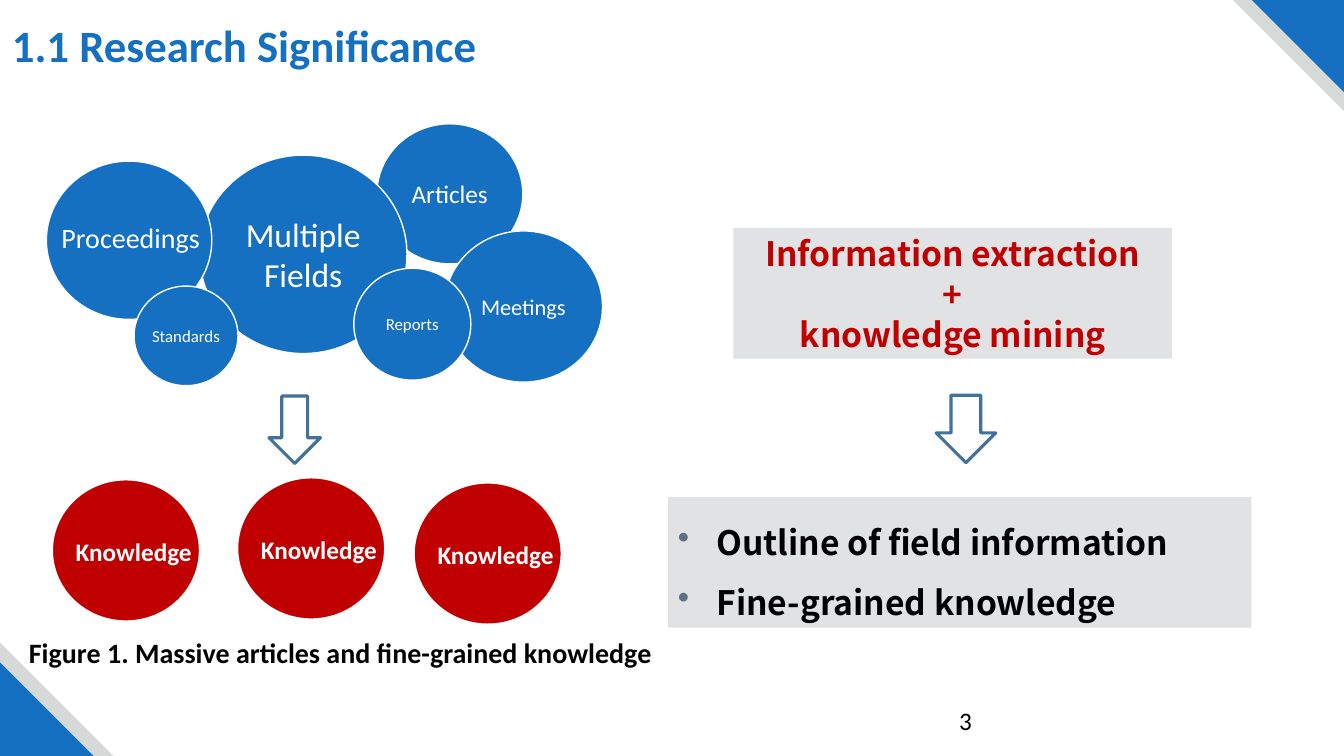
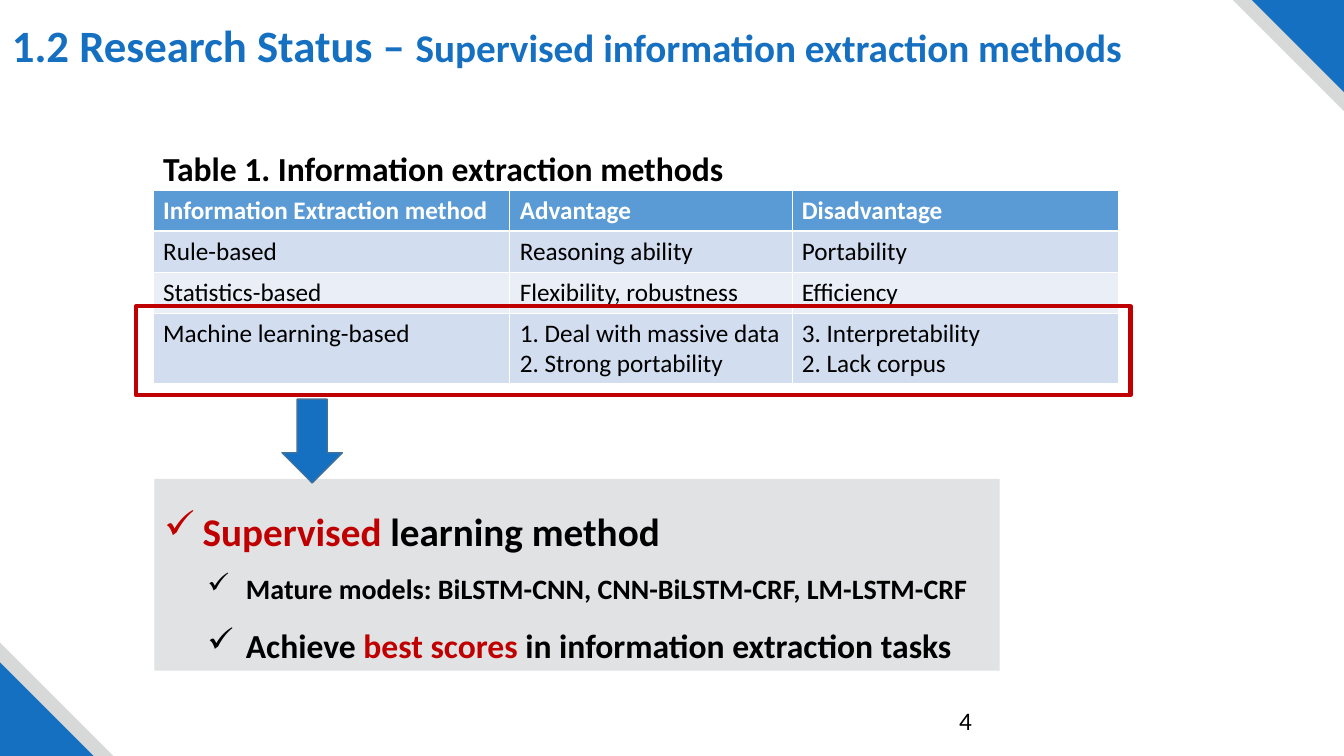
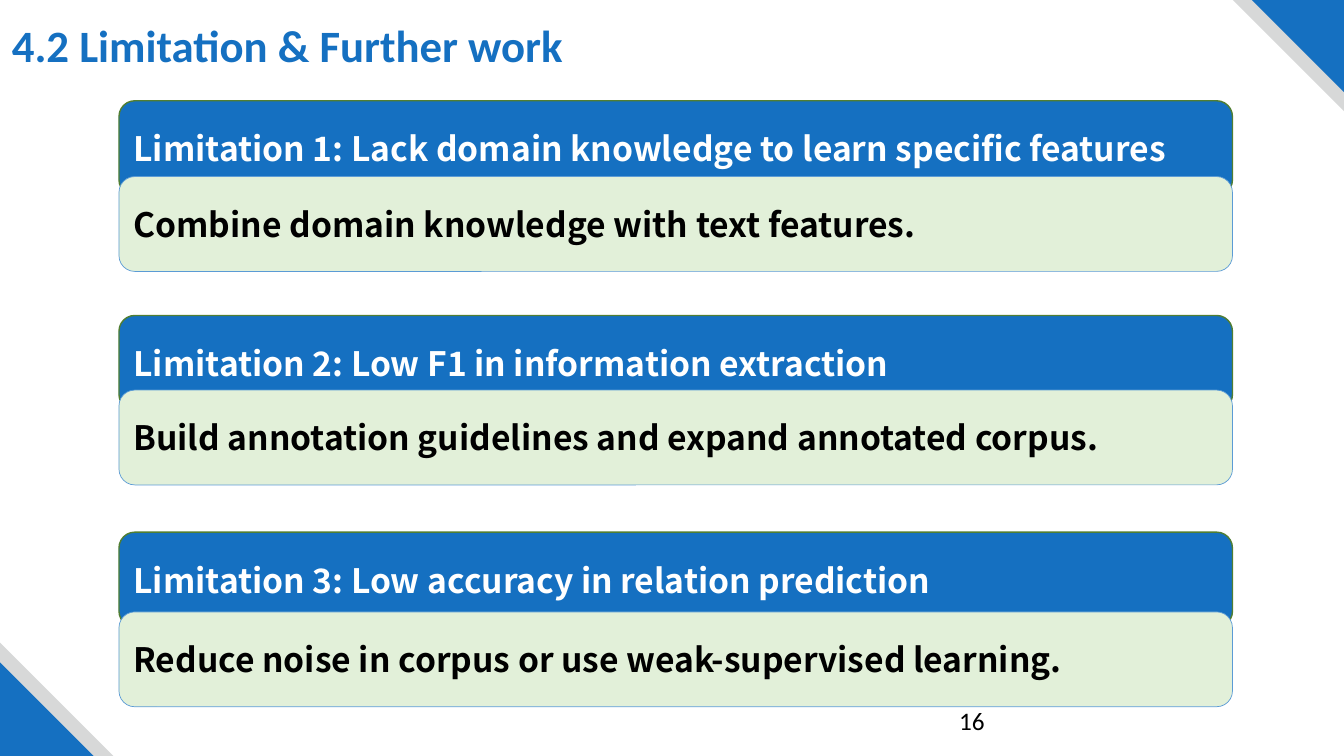
from dataclasses import dataclass

from lxml.etree import SubElement
from pptx import Presentation
from pptx.dml.color import RGBColor
from pptx.enum.shapes import MSO_SHAPE as SHAPE
from pptx.enum.text import MSO_ANCHOR as ANCHOR, PP_ALIGN as ALIGN
from pptx.oxml import parse_xml
from pptx.oxml.ns import nsdecls, qn
from pptx.util import Cm, Pt

BLUE = RGBColor(0x15, 0x70, 0xC1)
RED = RGBColor(0xC0, 0x00, 0x00)
BLACK = RGBColor(0x00, 0x00, 0x00)
WHITE = RGBColor(0xFF, 0xFF, 0xFF)
CORNER_GREY = RGBColor(0xD7, 0xD8, 0xD8)
PANEL_GREY = RGBColor(0xE0, 0xE2, 0xE3)
BULLET_GREY = RGBColor(0x60, 0x70, 0x84)
ARROW_LINE = RGBColor(0x41, 0x71, 0x9C)
HEADER_BLUE = RGBColor(0x5B, 0x9B, 0xD5)
BAND_DARK = RGBColor(0xD2, 0xDE, 0xEF)
BAND_LIGHT = RGBColor(0xEA, 0xEF, 0xF7)
ANSWER_GREEN = RGBColor(0xE2, 0xF0, 0xD9)
LIMIT_LINE = RGBColor(0x50, 0x7E, 0x32)

WIDTH, HEIGHT = 33.88, 19.05
BODY_FONT, STRONG_FONT = "Calibri", "Noto Sans CJK SC"


@dataclass
class Para:
    """A paragraph: one string, or a list of (text, font overrides) runs."""
    content: str | list
    size: float = 18
    color: RGBColor = BLACK
    bold: bool = False
    font: str = BODY_FONT
    align: ALIGN = ALIGN.LEFT
    spacing: float | Pt | None = None
    bullet: str = ""
    bullet_color: RGBColor = BLACK
    indent: float = 0.97
    level: int = 0


class Deck:
    HANGING = 0.97

    def __init__(self):
        self.prs = Presentation()
        self.prs.slide_width, self.prs.slide_height = Cm(WIDTH), Cm(HEIGHT)
        self.slide = None

    def new_slide(self, title, number, title_width=15.04):
        self.slide = self.prs.slides.add_slide(self.prs.slide_layouts[6])
        # Corner bands
        for color, top_side, bottom_side in ((CORNER_GREY, 2.8, 2.86), (BLUE, 2.32, 2.36)):
            corner = self.shape(SHAPE.RIGHT_TRIANGLE,
                                (WIDTH - top_side, 0, top_side, top_side), color)
            corner.rotation = 180
            self.shape(SHAPE.RIGHT_TRIANGLE,
                       (0, HEIGHT - bottom_side, bottom_side, bottom_side), color)
        # Title and page number
        self.text((0.05, 0.33, title_width, 1.63), [Para(title, 32, BLUE, True)])
        self.text((23.93, 17.65, 7.62, 1.02), [Para(str(number))])

    def shape(self, kind, box, fill=None, line=None, weight=1, paras=(),
              anchor=ANCHOR.MIDDLE, side_inset=0.25):
        shape = self.slide.shapes.add_shape(kind, *map(Cm, box))
        shape.shadow.inherit = False
        if fill is None:
            shape.fill.background()
        else:
            shape.fill.solid()
            shape.fill.fore_color.rgb = fill
        if line is None:
            shape.line.fill.background()
        else:
            shape.line.color.rgb = line
            shape.line.width = Pt(weight)
        if paras:
            frame = shape.text_frame
            frame.vertical_anchor = anchor
            frame.margin_left = frame.margin_right = Cm(side_inset)
            self.fill_text(frame, paras)
        return shape

    def text(self, box, paras, wrap=True):
        frame = self.slide.shapes.add_textbox(*map(Cm, box)).text_frame
        frame.word_wrap = wrap
        self.fill_text(frame, paras)

    def fill_text(self, frame, paras):
        for index, para in enumerate(paras):
            paragraph = frame.add_paragraph() if index else frame.paragraphs[0]
            paragraph.level = para.level
            paragraph.alignment = para.align
            if para.bullet:
                self.add_bullet(paragraph, para)
            if para.spacing:
                paragraph.line_spacing = para.spacing
            self.style(paragraph.font, para.size, para.color, para.bold, para.font)
            runs = [(para.content, {})] if isinstance(para.content, str) else para.content
            for words, changes in runs:
                run = paragraph.add_run()
                run.text = words
                self.style(run.font, **changes)

    @staticmethod
    def style(font, size=None, color=None, bold=None, name=None):
        if size:
            font.size = Pt(size)
        if color is not None:
            font.color.rgb = color
        if bold is not None:
            font.bold = bold
        if name:
            font.name = name

    def add_bullet(self, paragraph, para):
        props = paragraph._p.get_or_add_pPr()
        props.set("marL", str(Cm(para.indent)))
        props.set("indent", str(-Cm(self.HANGING)))
        color = SubElement(props, qn("a:buClr"))
        SubElement(color, qn("a:srgbClr"), val=str(para.bullet_color))
        SubElement(props, qn("a:buChar"), char=para.bullet)

    def table(self, left, top, widths, heights, rows):
        table = self.slide.shapes.add_table(
            len(rows), len(widths), Cm(left), Cm(top),
            Cm(sum(widths)), Cm(sum(heights))).table
        for column, width in zip(table.columns, widths):
            column.width = Cm(width)
        for r, (row, height) in enumerate(zip(rows, heights)):
            table.rows[r].height = Cm(height)
            header = r == 0
            fill = HEADER_BLUE if header else BAND_DARK if r % 2 else BAND_LIGHT
            for c, lines in enumerate(row):
                cell = table.cell(r, c)
                cell.fill.solid()
                cell.fill.fore_color.rgb = fill
                self.fill_text(cell.text_frame,
                               [Para(line, 18, WHITE if header else BLACK, header)
                                for line in lines.split("\n")])
                self.borders(cell, top=1.47 if r == 1 else 0.45,
                             bottom=1.47 if header else 0.45)

    @staticmethod
    def borders(cell, top, bottom):
        props = cell._tc.get_or_add_tcPr()
        sides = (("lnL", 0.45), ("lnR", 0.45), ("lnT", top), ("lnB", bottom))
        for position, (side, weight) in enumerate(sides):
            props.insert(position, parse_xml(
                f'<a:{side} {nsdecls("a")} w="{Pt(weight)}"><a:solidFill>'
                f'<a:srgbClr val="{WHITE}"/></a:solidFill></a:{side}>'))


def research_significance(deck):
    deck.new_slide("1.1 Research Significance", 3)

    # Methods and their results
    deck.shape(SHAPE.RECTANGLE, (18.49, 5.74, 11.05, 3.3), PANEL_GREY, anchor=ANCHOR.TOP,
               paras=[Para(line, 24, RED, True, STRONG_FONT, ALIGN.CENTER, Pt(29))
                      for line in ("Information extraction", "+", "knowledge mining")])
    deck.shape(SHAPE.RECTANGLE, (16.84, 12.52, 14.71, 3.3), PANEL_GREY, anchor=ANCHOR.TOP,
               paras=[Para(line, 24, BLACK, True, STRONG_FONT, spacing=Pt(43),
                           bullet="•", bullet_color=BULLET_GREY)
                      for line in ("Outline of field information", "Fine-grained knowledge")])
    for arrow in ((23.6, 9.96, 1.5, 1.7), (6.78, 9.98, 1.3, 1.7)):
        deck.shape(SHAPE.DOWN_ARROW, arrow, WHITE, ARROW_LINE, 2.25)

    # Knowledge circles
    for left, top in ((1.32, 12.09), (5.99, 12.04), (10.44, 12.17)):
        deck.shape(SHAPE.OVAL, (left, top, 3.71, 3.56), RED, WHITE)
        deck.text((left + 0.34, top + 1.3, 3.45, 1.02),
                  [Para("Knowledge", 18, WHITE, True)], wrap=False)
    deck.text((0.48, 15.88, 16.26, 1.12),
              [Para("Figure 1. Massive articles and fine-grained knowledge", 20, bold=True)],
              wrap=False)

    # Source circles
    sources = (
        ("Articles", 18, (9.5, 3.12, 3.68, 3.53), 0.25),
        ("Multiple Fields", 24, (5.03, 3.91, 5.23, 5), 0.25),
        ("", 20, (1.17, 4.06, 4.17, 3.99), 0.25),
        ("Meetings", 16, (11.2, 5.82, 3.99, 3.81), 0.25),
        ("Reports", 12, (8.92, 6.76, 2.95, 2.82), 0.25),
        ("Standards", 12, (3.38, 7.21, 2.62, 2.51), 0),
    )
    for source, size, box, inset in sources:
        label = [Para(source, size, WHITE, align=ALIGN.CENTER)] if source else ()
        deck.shape(SHAPE.OVAL, box, BLUE, WHITE, paras=label, side_inset=inset)
    deck.text((1.3, 5.44, 4.17, 1.12), [Para("Proceedings", 20, WHITE)])


def research_status(deck):
    deck.new_slide([("1.2 Research Status – ", {}),
                    ("Supervised information extraction methods", {"size": 28})],
                   4, title_width=28.96)

    # Supervised learning panel
    child = dict(bold=True, spacing=1.5, bullet="✓", indent=2.06, level=1)
    deck.shape(SHAPE.RECTANGLE, (3.89, 12.07, 21.31, 4.83), PANEL_GREY, anchor=ANCHOR.TOP, paras=[
        Para([("Supervised", {"color": RED}), (" learning method", {})], 28, bold=True,
             spacing=1.5, bullet="✓", bullet_color=RED),
        Para("Mature models: BiLSTM-CNN, CNN-BiLSTM-CRF, LM-LSTM-CRF", 20, **child),
        Para([("Achieve ", {}), ("best scores ", {"color": RED}),
              ("in information extraction tasks", {})], 24, **child),
    ])

    # Methods table
    deck.table(3.86, 4.8, (8.99, 7.11, 8.23), (1.03, 1.03, 1.03, 1.78), (
        ("Information Extraction method", "Advantage", "Disadvantage"),
        ("Rule-based", "Reasoning ability", "Portability"),
        ("Statistics-based", "Flexibility, robustness", "Efficiency"),
        ("Machine learning-based", "1. Deal with massive data\n2. Strong portability",
         "3. Interpretability\n2. Lack corpus"),
    ))
    deck.text((3.86, 3.61, 14.76, 1.27),
              [Para("Table 1. Information extraction methods", 24, bold=True)], wrap=False)

    # Highlighted row and arrow
    deck.shape(SHAPE.RECTANGLE, (3.43, 7.72, 25.07, 2.24), line=RED, weight=3)
    deck.shape(SHAPE.DOWN_ARROW, (7.11, 10.06, 1.52, 2.11), BLUE, ARROW_LINE)


def further_work(deck):
    deck.new_slide("4.2 Limitation & Further work", 16)

    # Each limitation with its answer
    pairs = (
        (2.54, "Limitation 1: Lack domain knowledge to learn specific features",
         4.45, "Combine domain knowledge with text features."),
        (7.95, "Limitation 2: Low F1 in information extraction",
         9.83, "Build annotation guidelines and expand annotated corpus."),
        (13.41, "Limitation 3: Low accuracy in relation prediction",
         15.42, "Reduce noise in corpus or use weak-supervised learning."),
    )
    for limit_top, limitation, answer_top, answer in pairs:
        for top, words, fill, line, weight, color in (
                (limit_top, limitation, BLUE, LIMIT_LINE, 1, WHITE),
                (answer_top, answer, ANSWER_GREEN, HEADER_BLUE, 0.5, BLACK)):
            deck.shape(SHAPE.ROUNDED_RECTANGLE, (3, top, 28.07, 2.39), fill, line, weight,
                       [Para(words, 24, color, True, STRONG_FONT)])


def main():
    deck = Deck()
    research_significance(deck)
    research_status(deck)
    further_work(deck)
    deck.prs.save("out.pptx")


if __name__ == "__main__":
    main()
